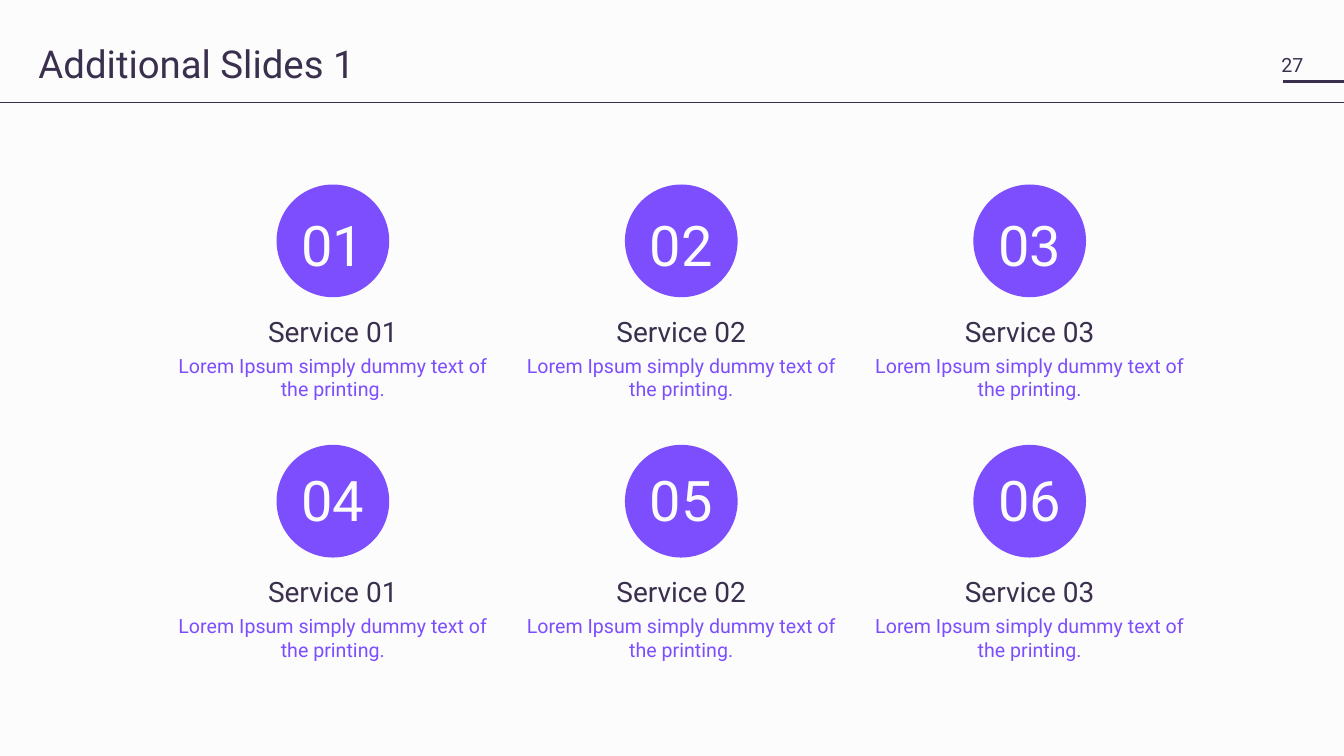
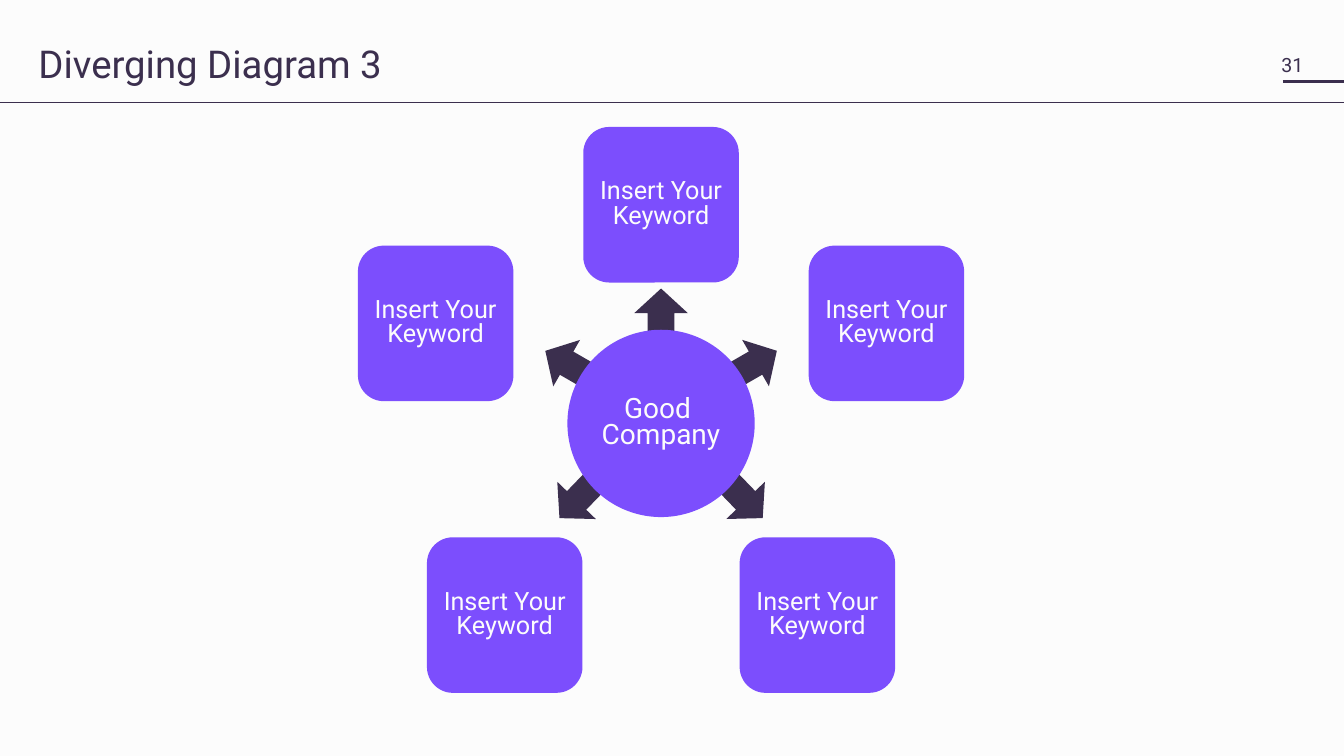
from lxml.etree import SubElement
from pptx import Presentation
from pptx.dml.color import RGBColor
from pptx.enum.shapes import MSO_CONNECTOR, MSO_SHAPE
from pptx.enum.text import MSO_ANCHOR, MSO_AUTO_SIZE, PP_ALIGN
from pptx.oxml.ns import qn
from pptx.util import Cm, Pt

FONT = "Roboto"
PAPER = RGBColor(0xFC, 0xFC, 0xFC)
INK = RGBColor(0x3B, 0x2F, 0x4E)
VIOLET = RGBColor(0x7C, 0x4E, 0xFD)
WIDTH, HEIGHT = 33.87, 19.05

COLUMNS = 3
COLUMN_STEP, ROW_STEP = 8.78, 6.56
FIRST_X, FIRST_Y = 8.39, 6.07
BADGE = 2.84
NUMBER_DROPS = (0.46, 0.2)
SERVICE_TEXT = "Lorem Ipsum simply dummy text of the printing."

HUB_X, HUB_Y, HUB = 16.66, 10.67, 4.72
CARD = 3.92
ARROW_W, ARROW_H = 1.24, 1.35
SPOKES = [
    ((0, -5.51), (0, -2.78), -90),
    ((5.68, -2.52), (2.38, -1.52), -30),
    ((-5.68, -2.52), (-2.38, -1.52), 210),
    ((3.94, 4.83), (2.13, 1.94), 46),
    ((-3.94, 4.83), (-2.13, 1.94), 134),
]


def add_text(tf, text, size=14, color=INK, align=PP_ALIGN.LEFT, spacing=1.0, before=0):
    """Write one formatted paragraph, using the empty first one if there is one."""
    p = tf.paragraphs[0] if not tf.text else tf.add_paragraph()
    p.alignment, p.line_spacing, p.space_before = align, spacing, Pt(before)
    r = p.add_run()
    r.text = text
    r.font.name, r.font.size, r.font.color.rgb = FONT, Pt(size), color


def set_frame(tf, inset, anchor=MSO_ANCHOR.TOP, wrap=True):
    """Set equal insets, anchor and wrapping of a text frame."""
    tf.margin_left = tf.margin_right = tf.margin_top = tf.margin_bottom = Cm(inset)
    tf.vertical_anchor, tf.word_wrap = anchor, wrap
    tf.auto_size = MSO_AUTO_SIZE.NONE


def add_box(s, x, y, w, h, **frame):
    """Add a text box and return its text frame."""
    tf = s.shapes.add_textbox(Cm(x), Cm(y), Cm(w), Cm(h)).text_frame
    set_frame(tf, **frame)
    return tf


def add_solid(s, kind, cx, cy, w, h, color=VIOLET, inset=0):
    """Add a plain filled shape around a centre point."""
    sp = s.shapes.add_shape(kind, Cm(cx - w / 2), Cm(cy - h / 2), Cm(w), Cm(h))
    sp.shadow.inherit = False
    sp.fill.solid()
    sp.fill.fore_color.rgb = color
    sp.line.fill.background()
    set_frame(sp.text_frame, inset, MSO_ANCHOR.MIDDLE)
    return sp


def add_rule(s, x, y, weight):
    """Add a horizontal line that runs to the right edge."""
    line = s.shapes.add_connector(
        MSO_CONNECTOR.STRAIGHT, Cm(x), Cm(y), Cm(WIDTH), Cm(y))
    line.line.color.rgb, line.line.width = INK, Pt(weight)
    SubElement(line.element.spPr, qn("a:effectLst"))
    return line


def style_layout(prs, layout, s):
    """Give the layout its background, title position and header lines."""
    fill = prs.slide_master.background.fill
    fill.solid()
    fill.fore_color.rgb = PAPER
    title = layout.placeholders[0]
    title.left, title.top, title.width, title.height = Cm(0.84), Cm(1.14), Cm(29.03), Cm(1.37)
    for x, y, weight in ((32.33, 2.06, 2), (0, 2.59, 0.5)):
        layout.shapes.element.append(add_rule(s, x, y, weight).element)


def add_header(s, title, number):
    """Fill in the title and the page number."""
    tf = s.shapes.title.text_frame
    set_frame(tf, 0.13)
    add_text(tf, title, size=27.4, spacing=0.75)
    tf = add_box(s, 32.11, 1.17, 0.91, 0.94, inset=0.18, anchor=MSO_ANCHOR.MIDDLE, wrap=False)
    add_text(tf, number)


def add_service(s, index):
    """Add a numbered circle with its heading and description."""
    row, column = divmod(index, COLUMNS)
    cx, cy = FIRST_X + column * COLUMN_STEP, FIRST_Y + row * ROW_STEP
    tf = add_solid(s, MSO_SHAPE.OVAL, cx, cy, BADGE, BADGE).text_frame
    tf.margin_top = Cm(NUMBER_DROPS[row])
    add_text(tf, f"{index + 1:02}", size=40, color=PAPER, align=PP_ALIGN.CENTER, spacing=0.8)
    tf = add_box(s, cx - 4.1, cy + 1.96, 8.2, 2.18, inset=0.13)
    style = {"align": PP_ALIGN.CENTER, "spacing": Pt(17)}
    add_text(tf, f"Service {column + 1:02}", size=20, **style)
    add_text(tf, SERVICE_TEXT, color=VIOLET, before=4, **style)


def add_diagram(s):
    """Add the hub with arrows out to the keyword cards."""
    for _, (dx, dy), angle in SPOKES:
        arrow = add_solid(s, MSO_SHAPE.RIGHT_ARROW, HUB_X + dx, HUB_Y + dy,
                          ARROW_W, ARROW_H, color=INK)
        arrow.rotation = angle
    style = {"color": PAPER, "align": PP_ALIGN.CENTER, "spacing": 0.8}
    hub = add_solid(s, MSO_SHAPE.OVAL, HUB_X, HUB_Y, HUB, HUB)
    for word in ("Good ", "Company"):
        add_text(hub.text_frame, word, size=20, **style)
    for (dx, dy), _, _ in SPOKES:
        card = add_solid(s, MSO_SHAPE.ROUNDED_RECTANGLE, HUB_X + dx, HUB_Y + dy,
                         CARD, CARD, inset=0.13)
        add_text(card.text_frame, "Insert Your Keyword", size=18, **style)


def main():
    """Build and save the presentation."""
    prs = Presentation()
    prs.slide_width, prs.slide_height = Cm(WIDTH), Cm(HEIGHT)
    layout = prs.slide_layouts[5]
    services, diagram = (prs.slides.add_slide(layout) for _ in range(2))
    style_layout(prs, layout, services)
    add_header(services, "Additional Slides 1", "27")
    for index in range(6):
        add_service(services, index)
    add_header(diagram, "Diverging Diagram 3", "31")
    add_diagram(diagram)
    prs.save("out.pptx")


if __name__ == "__main__":
    main()
